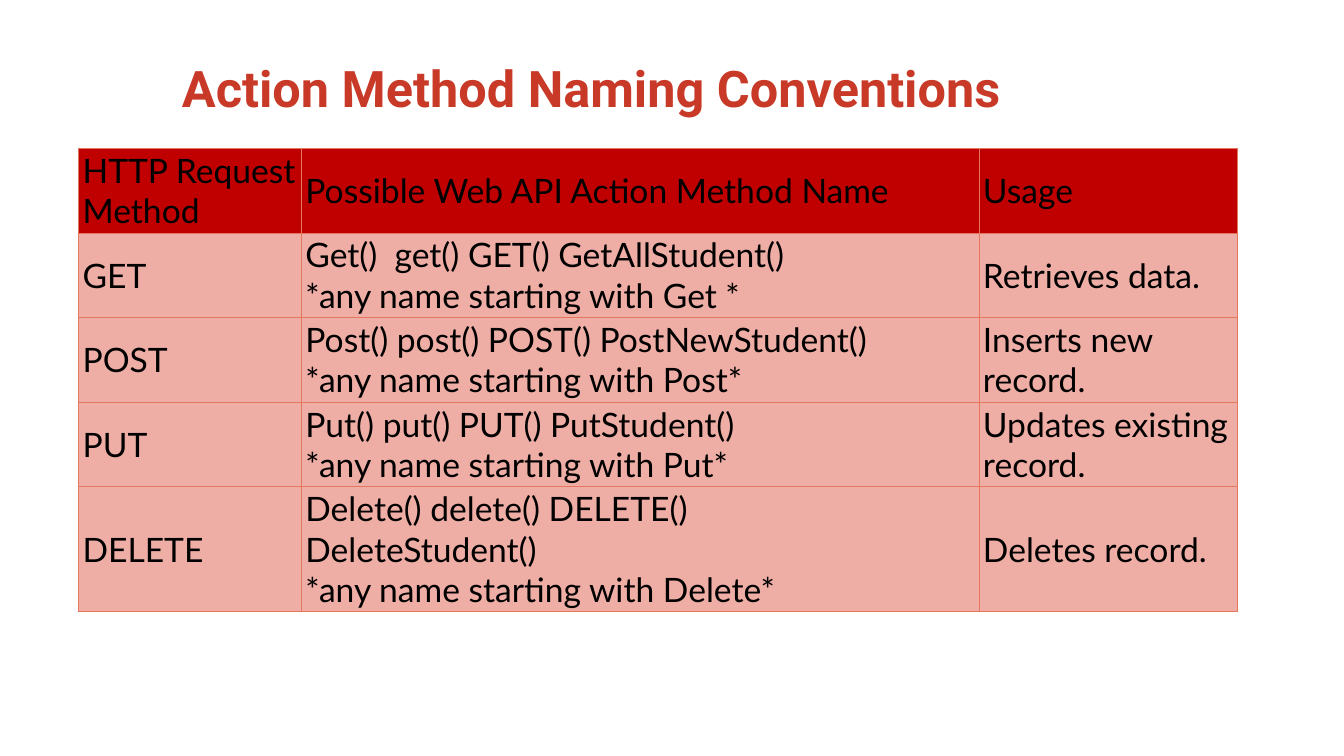
from lxml.etree import SubElement
from pptx import Presentation
from pptx.dml.color import RGBColor
from pptx.enum.text import MSO_ANCHOR as Anchor, PP_ALIGN as Align
from pptx.oxml.ns import qn
from pptx.util import Inches, Pt

COLORS = {
    "title": "C83927",
    "text": "000000",
    "header": "C00000",
    "body": "EFAEA5",
    "border": "E5785C",
}
FONTS = {
    "title": {"name": "Roboto", "size": Pt(36), "bold": True},
    "table": {"name": "Lato", "size": Pt(24), "bold": False},
}
CELL_FORMAT = {
    "margin_left": Inches(0.04),
    "margin_right": Inches(0.04),
    "margin_top": Inches(0.02),
    "margin_bottom": Inches(0.02),
    "vertical_anchor": Anchor.MIDDLE,
}
TITLE_FORMAT = {
    "vertical_anchor": Anchor.MIDDLE,
    "word_wrap": True,
}
COLUMN_WIDTHS = [2.21, 6.72, 2.56]
ROW_HEIGHTS = [0.84, 0.83, 0.83, 0.83, 1.24]

CONVENTIONS = [
    ["HTTP Request Method", "Possible Web API Action Method Name", "Usage"],
    ["GET", "Get()  get() GET() GetAllStudent()\n*any name starting with Get *",
     "Retrieves data."],
    ["POST", "Post() post() POST() PostNewStudent()\n*any name starting with Post*",
     "Inserts new record."],
    ["PUT", "Put() put() PUT() PutStudent()\n*any name starting with Put*",
     "Updates existing record."],
    ["DELETE", "Delete() delete() DELETE()\nDeleteStudent()\n*any name starting with Delete*",
     "Deletes record."],
]


def apply_format(target, values):
    for name, value in values.items():
        setattr(target, name, value)


class SlideBuilder:
    def __init__(self, presentation):
        self.presentation = presentation
        self.slide = presentation.slides.add_slide(presentation.slide_layouts[0])
        subtitle = self.slide.placeholders[1].element
        subtitle.getparent().remove(subtitle)

    def place(self, left, top, width, height):
        """Turn shares of the slide's size into a position and a size."""
        slide_width = self.presentation.slide_width
        slide_height = self.presentation.slide_height
        return (int(left * slide_width), int(top * slide_height),
                int(width * slide_width), int(height * slide_height))

    def add_text(self, paragraph, text, style, color):
        """Fill a paragraph, with a line break at each new line of the text."""
        for index, line in enumerate(text.split("\n")):
            if index:
                paragraph.add_line_break()
            run = paragraph.add_run()
            run.text = line
            apply_format(run.font, FONTS[style])
            run.font.color.rgb = RGBColor.from_string(COLORS[color])

    def title(self, text, left, top, width, height):
        title = self.slide.shapes.title
        title.left, title.top, title.width, title.height = self.place(left, top, width, height)
        apply_format(title.text_frame, TITLE_FORMAT)
        paragraph = title.text_frame.paragraphs[0]
        paragraph.alignment = Align.CENTER
        self.add_text(paragraph, text, "title", "title")

    def cell_borders(self, cell):
        properties = cell._tc.get_or_add_tcPr()
        for side in ("a:lnL", "a:lnR", "a:lnT", "a:lnB"):
            line = SubElement(properties, qn(side), w=str(Pt(0.5)))
            fill = SubElement(line, qn("a:solidFill"))
            SubElement(fill, qn("a:srgbClr"), val=COLORS["border"])

    def table(self, rows, column_widths, row_heights, left, top):
        x, y, _, _ = self.place(left, top, 0, 0)
        table = self.slide.shapes.add_table(
            len(rows), len(column_widths), x, y,
            Inches(sum(column_widths)), Inches(sum(row_heights))).table
        for column, width in zip(table.columns, column_widths):
            column.width = Inches(width)
        for row_index, (row, height) in enumerate(zip(rows, row_heights)):
            table.rows[row_index].height = Inches(height)
            for column_index, text in enumerate(row):
                cell = table.cell(row_index, column_index)
                apply_format(cell, CELL_FORMAT)
                self.cell_borders(cell)
                cell.fill.solid()
                fill_color = "body" if row_index else "header"
                cell.fill.fore_color.rgb = RGBColor.from_string(COLORS[fill_color])
                self.add_text(cell.text_frame.paragraphs[0], text, "table", "text")


def main():
    presentation = Presentation()
    presentation.slide_width = Inches(13.33)
    presentation.slide_height = Inches(7.5)
    builder = SlideBuilder(presentation)
    builder.title("Action Method Naming Conventions", 0.01, 0.03, 0.86, 0.17)
    builder.table(CONVENTIONS, COLUMN_WIDTHS, ROW_HEIGHTS, 0.78 / 13.33, 1.47 / 7.5)
    presentation.save("out.pptx")


if __name__ == "__main__":
    main()
